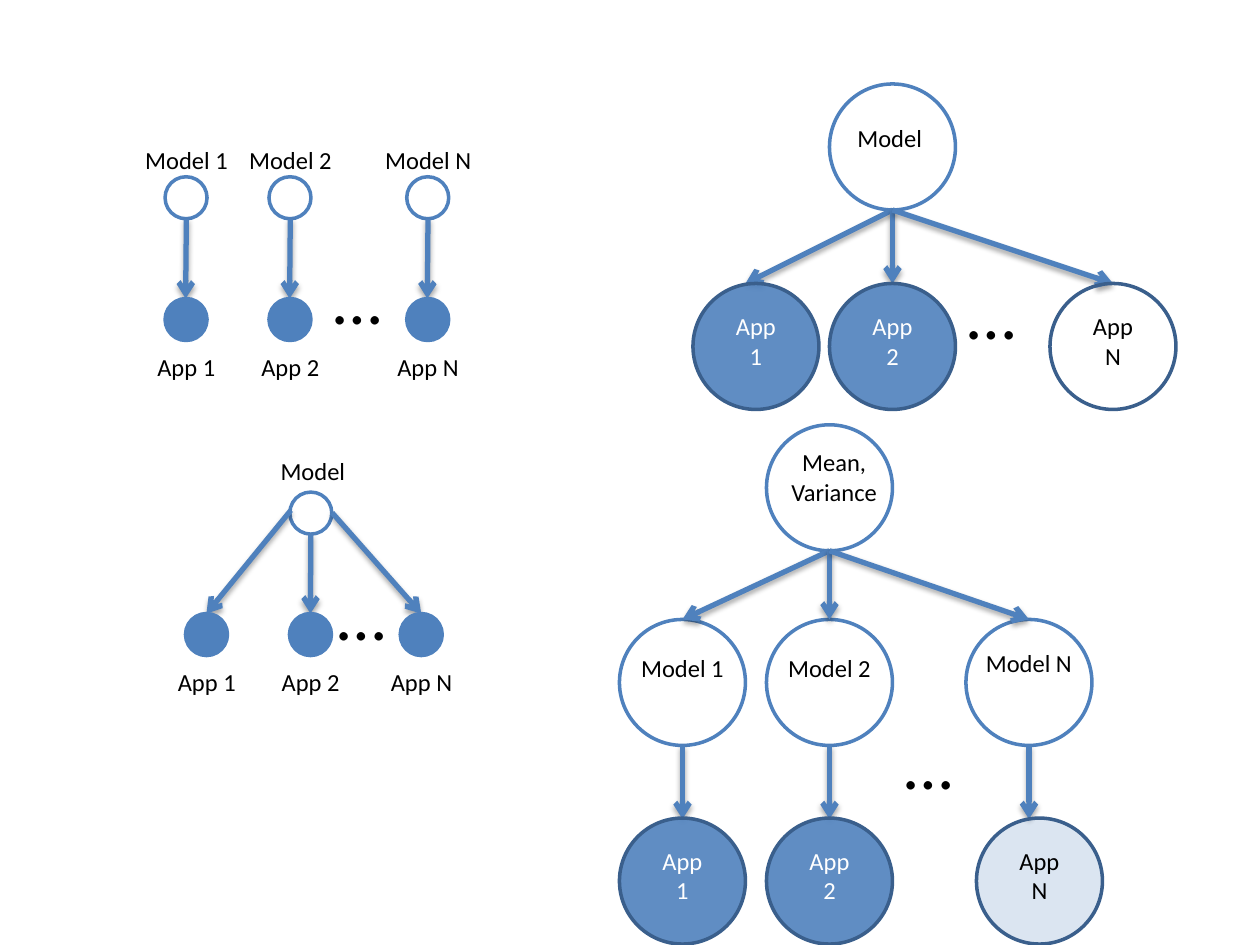
"""Four diagrams of models shared between apps."""
import pptx
import pptx.dml.color
import pptx.enum.shapes
import pptx.enum.text
import pptx.oxml
import pptx.oxml.ns
import pptx.util

COLORS = {"blue": "4F81BD", "navy": "3A5F8C", "white": "FFFFFF", "black": "000000"}
BIG, SMALL = 72, 24
Pt = pptx.util.Pt
qn = pptx.oxml.ns.qn
NAMESPACE = 'xmlns:a="http://schemas.openxmlformats.org/drawingml/2006/main"'


def rgb(name):
    return pptx.dml.color.RGBColor.from_string(COLORS[name])


def write(frame, text, size=14, color="black", align="CENTER"):
    for index, line in enumerate(text.split("\n")):
        paragraph = frame.add_paragraph() if index else frame.paragraphs[0]
        paragraph.alignment = getattr(pptx.enum.text.PP_ALIGN, align)
        run = paragraph.add_run()
        run.text = line
        run.font.name = "Calibri"
        run.font.size = Pt(size)
        run.font.color.rgb = rgb(color)


class Diagram:
    def __init__(self, slide):
        self.slide = slide
        self.shapes = slide.shapes

    def start_group(self):
        self.shapes = self.slide.shapes.add_group_shape().shapes

    def circle(self, center, top, size, fill="white", line="blue", opacity=100):
        shape = self.shapes.add_shape(
            pptx.enum.shapes.MSO_SHAPE.OVAL, Pt(center - size / 2), Pt(top), Pt(size), Pt(size))
        shape.shadow.inherit = False
        shape.line.color.rgb = rgb(line)
        shape.line.width = Pt(2)
        if fill is None:
            shape.fill.background()
            return
        shape.fill.solid()
        shape.fill.fore_color.rgb = rgb(fill)
        if opacity < 100:
            color = shape._element.spPr.find(qn("a:solidFill")).find(qn("a:srgbClr"))
            color.append(pptx.oxml.parse_xml(f'<a:alpha {NAMESPACE} val="{opacity * 1000}"/>'))

    def arrow(self, x1, y1, x2, y2):
        connector = self.shapes.add_connector(
            pptx.enum.shapes.MSO_CONNECTOR.STRAIGHT, Pt(x1), Pt(y1), Pt(x2), Pt(y2))
        connector.line.color.rgb = rgb("blue")
        connector.line.width = Pt(3)
        connector.line._get_or_add_ln().append(
            pptx.oxml.parse_xml(f'<a:tailEnd {NAMESPACE} type="arrow"/>'))
        connector._element.spPr.append(pptx.oxml.parse_xml(
            f'<a:effectLst {NAMESPACE}><a:outerShdw blurRad="{Pt(3.1)}" dist="{Pt(1.8)}" '
            'dir="5400000" rotWithShape="0"><a:srgbClr val="000000"><a:alpha val="35000"/>'
            '</a:srgbClr></a:outerShdw></a:effectLst>'))

    def label(self, text, center, top, width=72, height=24.24, **style):
        box = self.shapes.add_textbox(Pt(center - width / 2), Pt(top), Pt(width), Pt(height))
        box.text_frame.word_wrap = True
        box.text_frame.auto_size = pptx.enum.text.MSO_AUTO_SIZE.SHAPE_TO_FIT_TEXT
        write(box.text_frame, text, **style)

    def dots(self, left, top, width=84):
        self.label("…", left + width / 2, top, width, 55.74, size=40, align="LEFT")

    def big_app(self, name, center, top, fill="blue", opacity=90, color="white"):
        self.circle(center, top, BIG, fill, "navy", opacity)
        self.label(f"App\n{name}", center, top + 12.24, height=41.2, color=color)

    def small_app(self, name, center, top):
        self.label(f"App {name}", center + 0.2, top + 27, 72)
        self.circle(center, top, SMALL, "blue")


presentation = pptx.Presentation()
presentation.slide_width, presentation.slide_height = Pt(720), Pt(540)
diagram = Diagram(presentation.slides.add_slide(presentation.slide_layouts[6]))

diagram.start_group()
diagram.circle(474, 242.75, BIG)
for name, center, app_center, label_top, look in (
        ("1", 390, 390, 369.4, {}),
        ("2", 474, 474, 369.4, {}),
        ("N", 588, 594, 366.5, {"opacity": 20, "color": "black"})):
    diagram.circle(center, 354, BIG)
    diagram.arrow(474, 314.75, center, 354)
    diagram.arrow(center, 426, center, 468)
    diagram.big_app(name, app_center, 467.5, **look)
    diagram.label(f"Model {name}", center, label_top)
diagram.label("Mean,\nVariance", 476.7, 252, 114, 41.2)
diagram.dots(510, 407.5)

diagram.start_group()
diagram.circle(510, 48, BIG)
for name, center, look in (
        ("1", 432, {}), ("2", 510, {}), ("N", 636, {"fill": None, "color": "black"})):
    diagram.arrow(510, 120, 426 if name == "1" else center, 162)
    diagram.big_app(name, center, 162, **look)
diagram.label("Model ", 510, 67)
diagram.dots(546, 150.5)

diagram.start_group()
for name, center in (("1", 106.3), ("2", 165.7), ("N", 244.4)):
    diagram.circle(center, 101, SMALL)
    diagram.arrow(center + 0.2, 125, center - 0.2, 170.6)
    diagram.label(f"Model {name}", center + 0.3, 79.2, 84)
    diagram.small_app(name, center, 170.6)
diagram.dots(183.6, 141.8)

diagram.start_group()
diagram.circle(177.6, 281.2, SMALL)
diagram.label("Model", 178.8, 257, 84)
for name, center, start_x, start_y in (
        ("1", 118, 166.2, 291.6), ("2", 177.4, 177.6, 305.2), ("N", 240.7, 189.8, 293)):
    diagram.arrow(start_x, start_y, center, 350.6)
    diagram.small_app(name, center, 350.6)
diagram.dots(185.8, 322.5, 42)

presentation.save("out.pptx")
